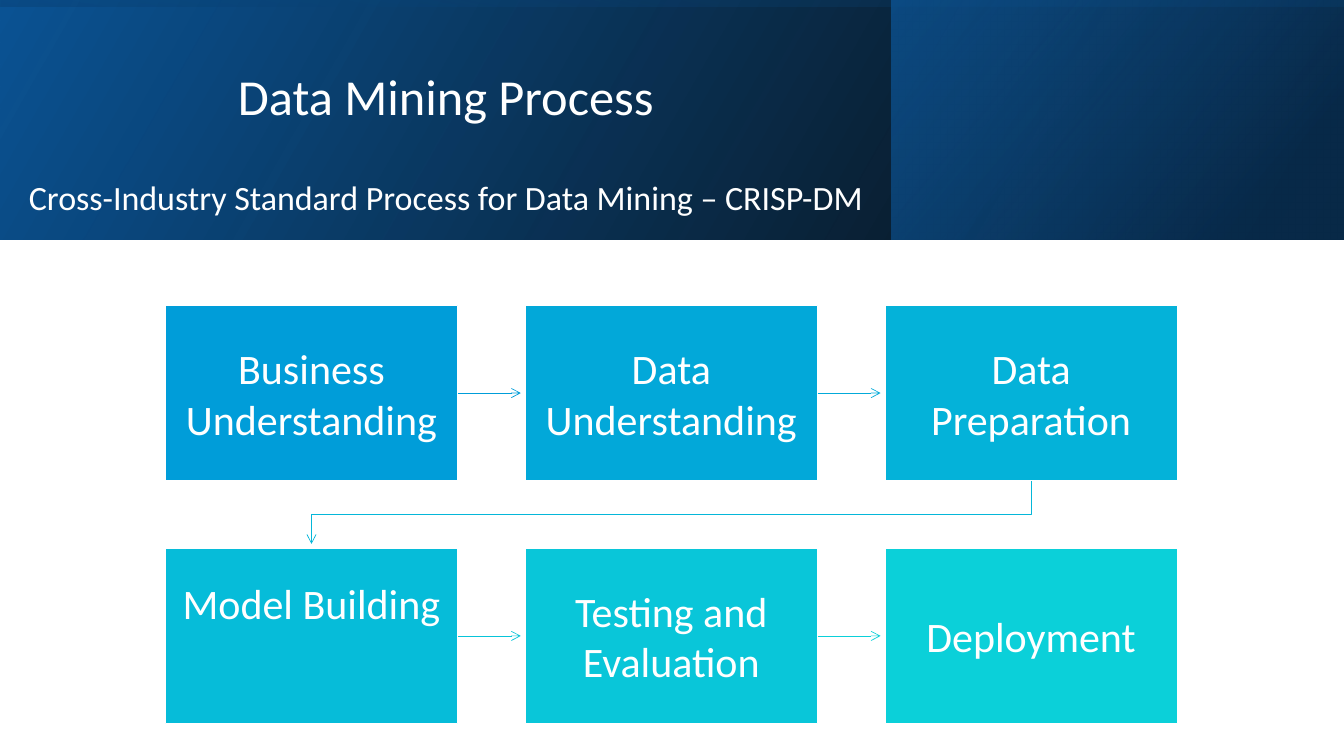
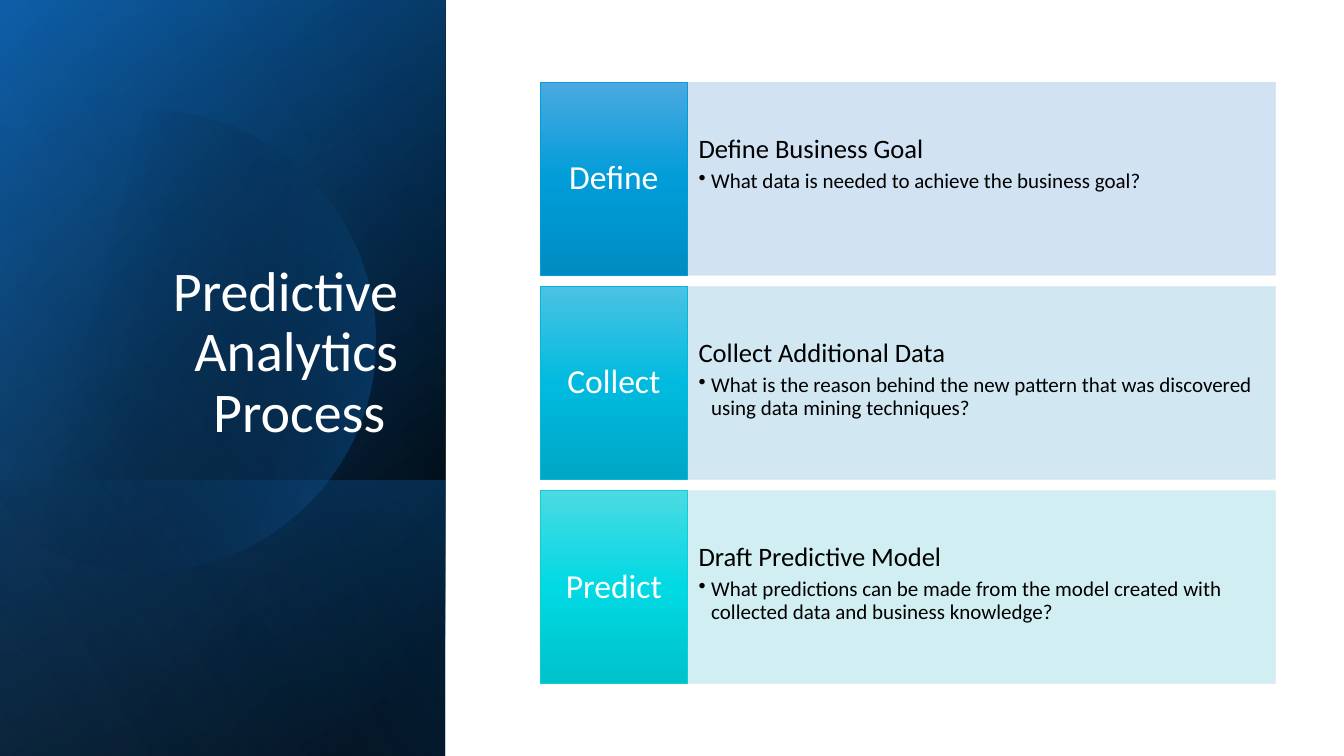
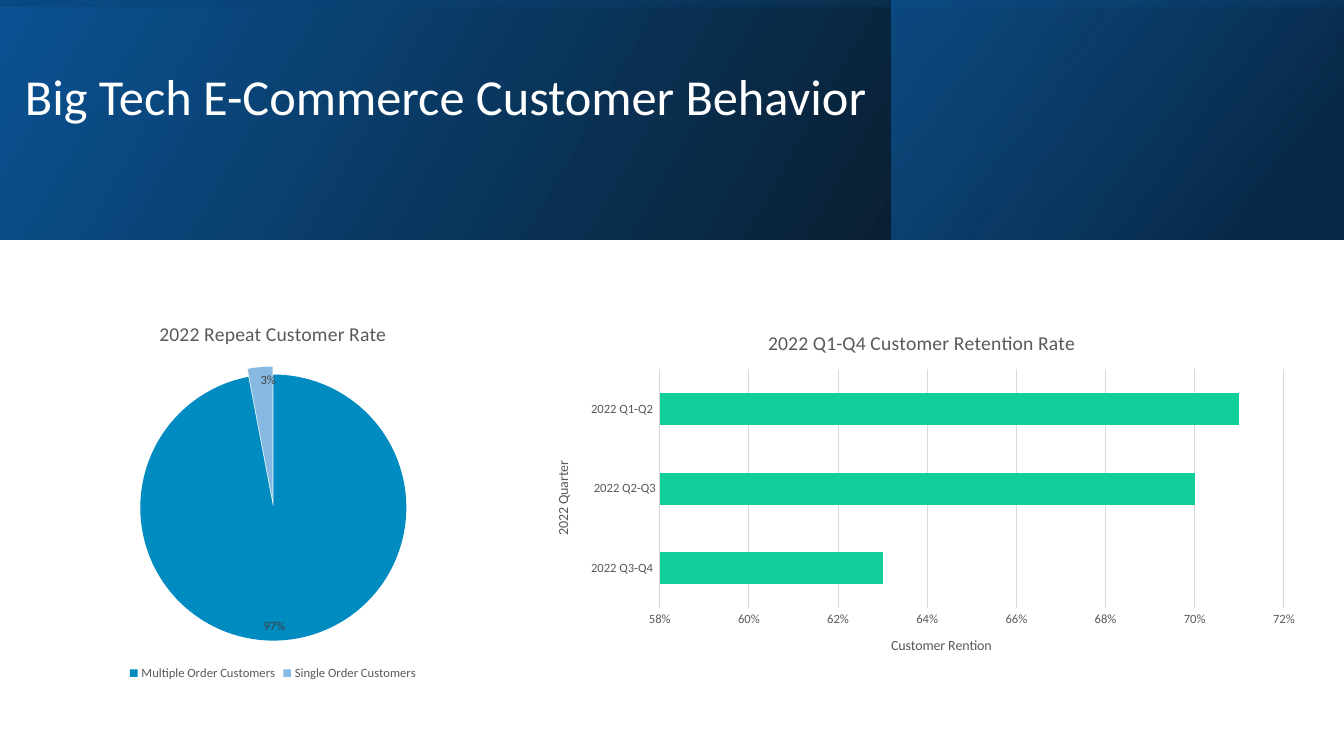
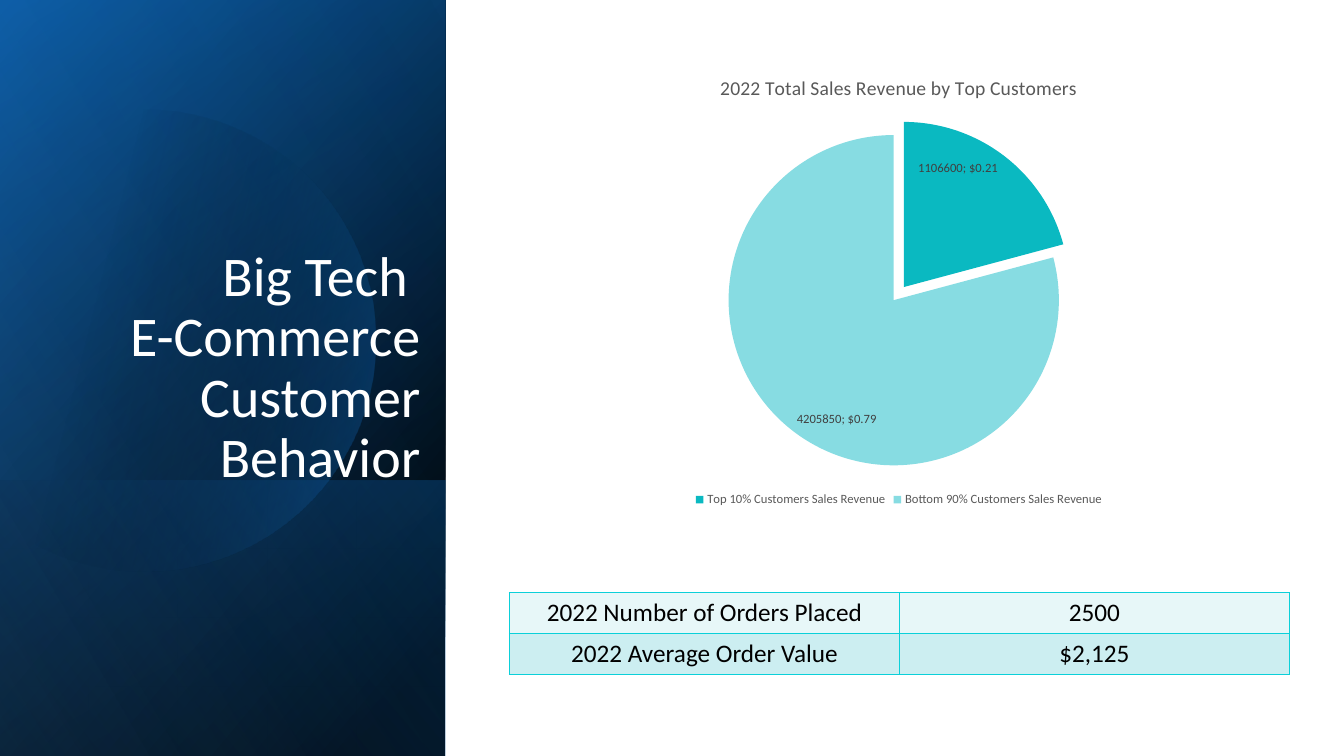
from dataclasses import dataclass
from math import acos, cos, pi, sin
from typing import Any, NamedTuple

from lxml import etree
from pptx import Presentation
from pptx.chart.data import CategoryChartData
from pptx.dml.color import RGBColor
from pptx.enum.chart import XL_CHART_TYPE, XL_LABEL_POSITION, XL_LEGEND_POSITION, XL_TICK_MARK
from pptx.enum.shapes import MSO_CONNECTOR, MSO_SHAPE
from pptx.enum.text import MSO_ANCHOR, MSO_AUTO_SIZE, PP_ALIGN
from pptx.oxml.ns import qn
from pptx.util import Pt

RECTANGLE = MSO_SHAPE.RECTANGLE
STRAIGHT = MSO_CONNECTOR.STRAIGHT
LEFT, CENTER, RIGHT = PP_ALIGN.LEFT, PP_ALIGN.CENTER, PP_ALIGN.RIGHT
TOP, MIDDLE, BOTTOM = MSO_ANCHOR.TOP, MSO_ANCHOR.MIDDLE, MSO_ANCHOR.BOTTOM
NO_AUTOFIT = MSO_AUTO_SIZE.NONE
PIE, BAR = XL_CHART_TYPE.PIE, XL_CHART_TYPE.BAR_CLUSTERED
INSIDE_END = XL_LABEL_POSITION.INSIDE_END
LEGEND_BOTTOM = XL_LEGEND_POSITION.BOTTOM
NO_TICK = XL_TICK_MARK.NONE

FONT = "Calibri"
WHITE, BLACK = "FFFFFF", "000000"
NAVY, BLUE = "0B5394", "0F6FC6"
CHART_TEXT, LABEL_TEXT, GRID = "595959", "404040", "D9D9D9"
TABLE_BORDER = "0BD0D9"
TITLE_LAYOUT = 5


class Box(NamedTuple):
    left: float
    top: float
    width: float
    height: float

    def lengths(self) -> list[int]:
        return [Pt(value) for value in self]


class Stop(NamedTuple):
    position: int
    color: str
    opacity: int = 100


@dataclass(frozen=True)
class Band:
    """A gradient rectangle; box is the area covered once turned."""
    box: Box
    angle: int
    stops: tuple[Stop, ...]
    turn: int = 0


@dataclass(frozen=True)
class Line:
    text: str
    size: float
    color: str = WHITE
    align: Any = CENTER
    spacing: float = 0.9
    after: float = 0
    bullet: bool = False


@dataclass(frozen=True)
class Step:
    text: str
    color: str
    arrow: str
    lift: float = 0


@dataclass(frozen=True)
class Card:
    tag: str
    heading: str
    question: str
    tint: str
    edge: str
    shades: tuple[str, str, str]


@dataclass(frozen=True)
class Pie:
    box: Box
    title: str
    slices: dict[str, float]
    colors: tuple[str, str]
    explosion: int
    number_format: str
    percent: bool = False


# Shared backgrounds
HEADER = Box(0, 0, 960, 171)
HEADER_BANDS = (
    Band(HEADER, 330, (Stop(0, BLACK, 96), Stop(100, NAVY))),
    Band(Box(637, 0, 323, 171), 320, (Stop(19, "083763", 68), Stop(100, BLUE, 48))),
    Band(HEADER, 350, (Stop(23, NAVY, 16), Stop(99, BLACK, 45)), 270),
)
PANEL = Box(0, 0, 318, 540)
PANEL_BANDS = (
    Band(PANEL, 50, (Stop(8, BLACK), Stop(100, NAVY)), 90),
    Band(PANEL, 30, (Stop(0, BLACK, 0), Stop(99, BLUE, 46)), 90),
    Band(Box(0, 343, 318, 197), 130, (Stop(2, BLUE, 29), Stop(100, BLACK, 30)), 90),
)
PANEL_SHEEN = Band(PANEL, 120, (Stop(0, BLACK, 0), Stop(99, "59AAF2", 11)), 90)
DISC_STOPS = (Stop(29, BLACK, 0), Stop(100, BLUE, 43))
HEADER_TITLE = Box(6, 48, 625, 124)

# Slide content
STEPS = (
    Step("Business Understanding", "009DD9", "009DD9"),
    Step("Data Understanding", "02A8D9", "03AAD9"),
    Step("Data Preparation", "04B2D9", "05B7D9"),
    Step("Model Building", "06BCD9", "08C4D9", lift=48),
    Step("Testing and Evaluation", "09C6D9", "0BD0D9"),
    Step("Deployment", "0BD0D9", "0BD0D9"),
)
CARDS = (
    Card("Define", "Define Business Goal",
         "What data is needed to achieve the business goal?",
         "CCDFF1", "009DD9", ("4BA8E0", "009DD9", "008CC1")),
    Card("Collect", "Collect Additional Data",
         "What is the reason behind the new pattern that was discovered "
         "using data mining techniques?",
         "CCE6F1", "05B7D9", ("4BC2E3", "00BBDF", "00A6C6")),
    Card("Predict", "Draft Predictive Model",
         "What predictions can be made from the model created with "
         "collected data and business knowledge?",
         "CCEDF1", "0BD0D9", ("4BDAE2", "01D9E3", "00C2CB")),
)
REPEAT_PIE = Pie(
    Box(-45, 217, 480, 272), "2022 Repeat Customer Rate",
    {"Multiple Order Customers": 0.97, "Single Order Customers": 0.03},
    ("008BC1", "87BAE2"), 3, "0%")
REVENUE_PIE = Pie(
    Box(378, 40, 528, 325), "2022 Total Sales Revenue by Top Customers",
    {"Top 10% Customers Sales Revenue": 1106600, "Bottom 90% Customers Sales Revenue": 4205850},
    ("0AB9C1", "87DCE2"), 5, '"$"#,##0.00_)', percent=True)
RETENTION = {"2022 Q3-Q4 ": 0.63, "2022 Q2-Q3": 0.7, "2022 Q1-Q2 ": 0.71}
ORDERS = (
    ("E7F7F8", ("2022 Number of Orders Placed", "2500")),
    ("CCEEF1", ("2022 Average Order Value", "$2,125")),
)


# Formatting helpers
def rgb(color: str) -> RGBColor:
    return RGBColor.from_string(color)


def apply(target: Any, values: dict[str, Any]) -> None:
    for name, value in values.items():
        setattr(target, name, value)


def style_font(font: Any, size: float, color: str) -> None:
    apply(font, {"name": FONT, "size": Pt(size), "bold": False})
    font.color.rgb = rgb(color)


def fill_solid(target: Any, color: str) -> None:
    target.fill.solid()
    target.fill.fore_color.rgb = rgb(color)


def fill_gradient(shape: Any, angle: int, stops: tuple[Stop, ...]) -> None:
    shape.fill.gradient()
    shape.fill.gradient_angle = (360 - angle) % 360
    stop_list = shape.element.spPr.find(".//" + qn("a:gsLst"))
    for old in list(stop_list):
        stop_list.remove(old)
    for stop in stops:
        mark = etree.SubElement(stop_list, qn("a:gs"), pos=str(stop.position * 1000))
        tone = etree.SubElement(mark, qn("a:srgbClr"), val=stop.color)
        etree.SubElement(tone, qn("a:alpha"), val=str(stop.opacity * 1000))


def set_opacity(shape: Any, percent: int) -> None:
    for tone in shape.element.spPr.iter(qn("a:srgbClr")):
        etree.SubElement(tone, qn("a:alpha"), val=str(percent * 1000))


def set_line(shape: Any, color: str, width: float) -> None:
    shape.line.color.rgb = rgb(color)
    shape.line.width = Pt(width)


def add_arrowhead(shape: Any, color: str) -> None:
    set_line(shape, color, 0.5)
    outline = shape.element.spPr.find(qn("a:ln"))
    etree.SubElement(outline, qn("a:tailEnd"), type="arrow")


def write_lines(shape: Any, lines: list[Line], anchor: Any,
                insets: tuple[float, float, float, float] = (7.2, 3.6, 7.2, 3.6)) -> None:
    frame = shape.text_frame
    left, top, right, bottom = (Pt(inset) for inset in insets)
    apply(frame, {"word_wrap": True, "auto_size": NO_AUTOFIT, "vertical_anchor": anchor,
                  "margin_left": left, "margin_top": top,
                  "margin_right": right, "margin_bottom": bottom})
    for index, line in enumerate(lines):
        para = frame.add_paragraph() if index else frame.paragraphs[0]
        if line.bullet:
            properties = para._p.get_or_add_pPr()
            apply_indent = {"marL": Pt(9), "indent": -Pt(9)}
            for name, value in apply_indent.items():
                properties.set(name, str(value))
            etree.SubElement(properties, qn("a:buChar"), char="•")
        apply(para, {"alignment": line.align, "line_spacing": line.spacing,
                     "space_after": Pt(line.after)})
        span = para.add_run()
        span.text = line.text
        style_font(span.font, line.size, line.color)


def add_rectangle(page: Any, box: Box) -> Any:
    shape = page.shapes.add_shape(RECTANGLE, *box.lengths())
    shape.shadow.inherit = False
    return shape


# Shared page parts
def add_band(page: Any, band: Band) -> None:
    left, top, width, height = band.box
    box = band.box
    if band.turn:
        box = Box(left + (width - height) / 2, top + (height - width) / 2, height, width)
    shape = add_rectangle(page, box)
    shape.rotation = band.turn
    shape.element.spPr.xfrm.set("flipH", "1")
    fill_gradient(shape, band.angle, band.stops)
    shape.line.fill.background()


def add_disc(page: Any) -> None:
    """A circle cut off at the left edge of the page."""
    center_x, center_y, radius, count = 103, 243.5, 165, 90
    reach = pi - acos(center_x / radius)
    angles = [reach * (2 * index / count - 1) for index in range(count + 1)]
    points = [(Pt(center_x + radius * cos(angle)), Pt(center_y + radius * sin(angle)))
              for angle in angles]
    builder = page.shapes.build_freeform(*points[0])
    builder.add_line_segments(points[1:], close=True)
    disc = builder.convert_to_shape()
    disc.shadow.inherit = False
    fill_gradient(disc, 14, DISC_STOPS)
    disc.line.fill.background()


def add_title(page: Any, box: Box, lines: list[Line], anchor: Any) -> None:
    title = page.shapes.title
    left, top, width, height = box.lengths()
    apply(title, {"left": left, "top": top, "width": width, "height": height})
    write_lines(title, lines, anchor)
    # Keep the title in front of the background
    page.shapes.element.append(title.element)


def new_page(deck: Any) -> Any:
    return deck.slides.add_slide(deck.slide_layouts[TITLE_LAYOUT])


def add_header_page(deck: Any, lines: list[Line]) -> Any:
    page = new_page(deck)
    for band in HEADER_BANDS:
        add_band(page, band)
    add_title(page, HEADER_TITLE, lines, TOP)
    return page


def add_panel_page(deck: Any, box: Box, texts: list[str]) -> Any:
    page = new_page(deck)
    for band in PANEL_BANDS:
        add_band(page, band)
    add_disc(page)
    add_band(page, PANEL_SHEEN)
    add_title(page, box, [Line(text, 40, align=RIGHT) for text in texts], BOTTOM)
    return page


# Process steps
def add_steps(page: Any) -> None:
    columns, left, top, width, height = 3, 118, 218, 209, 125.5
    step_x, step_y, short = 257, 173.5, 3
    for index, step in enumerate(STEPS):
        row, column = divmod(index, columns)
        box = Box(left + column * step_x, top + row * step_y, width, height)
        shape = add_rectangle(page, box)
        fill_solid(shape, step.color)
        set_line(shape, WHITE, 1)
        write_lines(shape, [Line(step.text, 30, spacing=1)], MIDDLE,
                    (10, 10.8, 10, 10.8 + step.lift))
        if column < columns - 1:
            middle = Pt(box.top + height / 2)
            arrow = page.shapes.add_connector(
                STRAIGHT, Pt(box.left + width), middle, Pt(box.left + step_x - short), middle)
            add_arrowhead(arrow, step.arrow)
            etree.SubElement(arrow.element.spPr, qn("a:effectLst"))
        elif row == 0:
            start_x, end_x = box.left + width / 2, left + width / 2
            start_y, end_y = top + height, top + step_y - short
            bend = (start_y + top + step_y) / 2
            builder = page.shapes.build_freeform(Pt(start_x), Pt(start_y))
            corners = ((start_x, bend), (end_x, bend), (end_x, end_y))
            builder.add_line_segments([(Pt(x), Pt(y)) for x, y in corners], close=False)
            turn = builder.convert_to_shape()
            turn.shadow.inherit = False
            turn.fill.background()
            add_arrowhead(turn, step.arrow)


# Question cards
def add_cards(page: Any) -> None:
    left, top, tag_width, width, height, step_y = 386, 59, 105, 420, 137.5, 145.8
    for index, card in enumerate(CARDS):
        card_top = top + index * step_y
        body = add_rectangle(page, Box(left + tag_width, card_top, width, height))
        fill_solid(body, card.tint)
        set_line(body, card.tint, 0.5)
        set_opacity(body, 90)
        write_lines(body, [
            Line(card.heading, 19, BLACK, LEFT, spacing=1, after=5),
            Line(card.question, 15, BLACK, LEFT, bullet=True),
        ], TOP, (8, 35, 8, 35))
        tag = add_rectangle(page, Box(left, card_top, tag_width, height))
        fill_gradient(tag, 90, tuple(Stop(50 * place, shade)
                                     for place, shade in enumerate(card.shades)))
        set_line(tag, card.edge, 0.5)
        write_lines(tag, [Line(card.tag, 24)], MIDDLE, (6, 14, 6, 14))


# Charts
def write_chart_title(title: Any, text: str, size: float) -> None:
    span = title.text_frame.paragraphs[0].add_run()
    span.text = text
    style_font(span.font, size, CHART_TEXT)


def add_chart(page: Any, kind: Any, box: Box, title: str, values: dict[str, float]) -> Any:
    data = CategoryChartData()
    data.categories = list(values)
    data.add_series("Series 1", list(values.values()))
    chart = page.shapes.add_chart(kind, *box.lengths(), data).chart
    style_font(chart.font, 10, BLACK)
    apply(chart, {"has_title": True, "has_legend": kind == PIE})
    write_chart_title(chart.chart_title, title, 14)
    chart.plots[0].vary_by_categories = kind == PIE
    return chart


def add_pie(page: Any, pie: Pie) -> None:
    chart = add_chart(page, PIE, pie.box, pie.title, pie.slices)
    apply(chart.legend, {"position": LEGEND_BOTTOM, "include_in_layout": False})
    style_font(chart.legend.font, 9, CHART_TEXT)
    series = chart.plots[0].series[0]
    for index, color in enumerate(pie.colors):
        fill_solid(series.points[index].format, color)
    labels = series.data_labels
    apply(labels, {"show_value": True, "show_percentage": pie.percent,
                   "number_format": pie.number_format, "number_format_is_linked": False,
                   "position": INSIDE_END})
    style_font(labels.font, 9, LABEL_TEXT)
    # Slice offset and label separator
    root = chart.element.find(".//" + qn("c:ser"))
    explosion = etree.Element(qn("c:explosion"), val=str(pie.explosion))
    root.find(qn("c:tx")).addnext(explosion)
    separator = etree.Element(qn("c:separator"))
    separator.text = "; "
    root.find(qn("c:dLbls")).find(qn("c:showBubbleSize")).addnext(separator)


def add_retention_bars(page: Any) -> None:
    chart = add_chart(page, BAR, Box(381, 224, 555, 258),
                      "2022 Q1-Q4 Customer Retention Rate", RETENTION)
    chart.plots[0].gap_width = 150
    fill_solid(chart.plots[0].series[0].format, "10CF9B")
    axes = ((chart.category_axis, "2022 Quarter"), (chart.value_axis, "Customer Rention "))
    for axis, title in axes:
        apply(axis, {"has_title": True, "major_tick_mark": NO_TICK, "minor_tick_mark": NO_TICK})
        write_chart_title(axis.axis_title, title, 10)
        style_font(axis.tick_labels.font, 9, CHART_TEXT)
        axis.format.line.fill.background()
    scale = chart.value_axis
    apply(scale, {"minimum_scale": 0.58, "maximum_scale": 0.72, "major_unit": 0.02,
                  "has_major_gridlines": True})
    apply(scale.tick_labels, {"number_format": "0%", "number_format_is_linked": False})
    set_line(scale.major_gridlines.format, GRID, 0.75)


# Order table
def add_orders(page: Any) -> None:
    box = Box(364, 423.5, 557, 58.5)
    table = page.shapes.add_table(len(ORDERS), 2, *box.lengths()).table
    apply(table, {"first_row": False, "horz_banding": False})
    for row, (color, texts) in enumerate(ORDERS):
        for column, text in enumerate(texts):
            cell = table.cell(row, column)
            properties = cell._tc.get_or_add_tcPr()
            for side in ("a:lnL", "a:lnR", "a:lnT", "a:lnB"):
                border = etree.SubElement(properties, qn(side), w=str(Pt(1)))
                paint = etree.SubElement(border, qn("a:solidFill"))
                etree.SubElement(paint, qn("a:srgbClr"), val=TABLE_BORDER)
            fill_solid(cell, color)
            para = cell.text_frame.paragraphs[0]
            para.alignment = CENTER
            span = para.add_run()
            span.text = text
            style_font(span.font, 18, BLACK)


def main() -> None:
    deck = Presentation()
    apply(deck, {"slide_width": Pt(960), "slide_height": Pt(540)})

    add_steps(add_header_page(deck, [
        Line("Data Mining Process", 36, after=39),
        Line("Cross-Industry Standard Process for Data Mining – CRISP-DM", 24.3),
    ]))

    add_cards(add_panel_page(deck, Box(46, 132.5, 245.5, 188.5),
                             ["Predictive Analytics Process "]))

    behavior = add_header_page(deck, [Line("Big Tech E-Commerce Customer Behavior", 36)])
    add_pie(behavior, REPEAT_PIE)
    add_retention_bars(behavior)

    revenue = add_panel_page(deck, Box(23, 148.5, 284.5, 205),
                             ["Big Tech ", "E-Commerce Customer Behavior"])
    add_orders(revenue)
    add_pie(revenue, REVENUE_PIE)

    deck.save("out.pptx")


if __name__ == "__main__":
    main()
